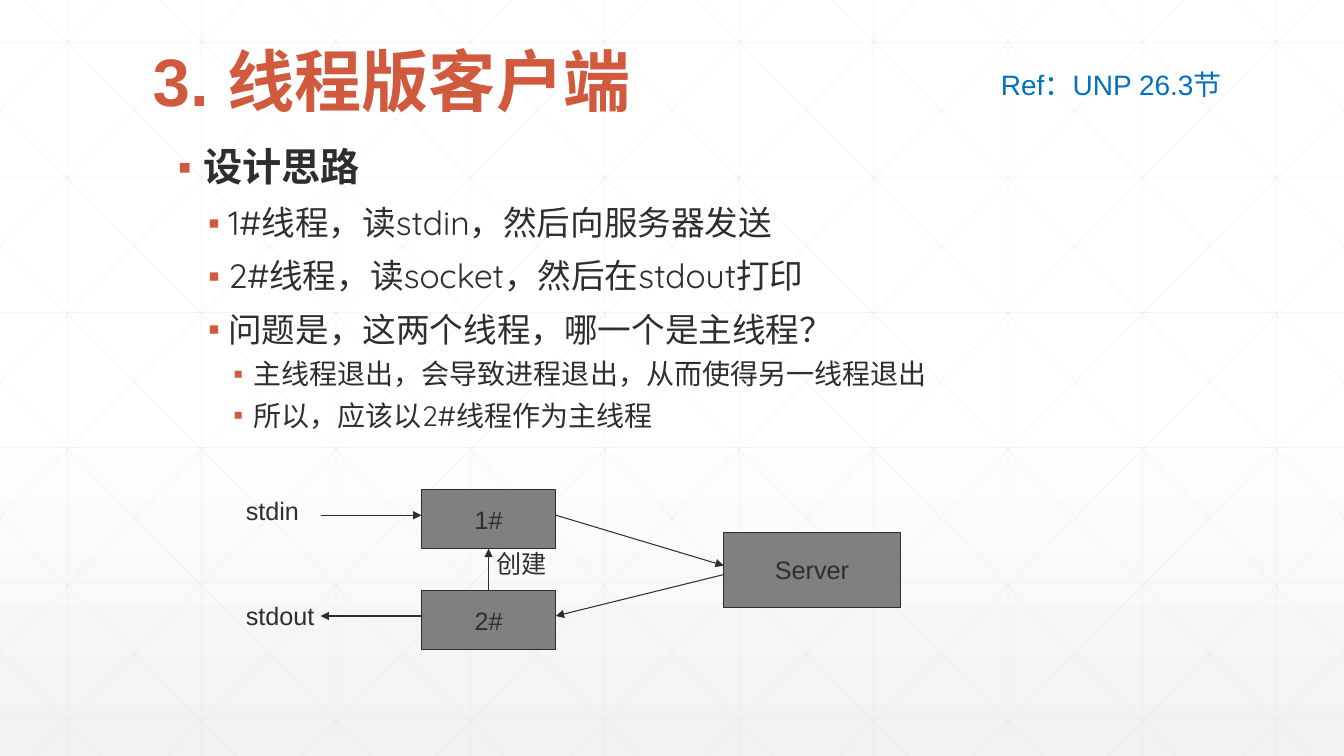
from dataclasses import dataclass

from lxml import etree
from pptx import Presentation
from pptx.dml.color import RGBColor
from pptx.enum import shapes, text
from pptx.oxml.ns import qn
from pptx.util import Pt

WHITE = RGBColor(0xFF, 0xFF, 0xFF)
PALE_GRAY = RGBColor(0xF2, 0xF2, 0xF2)
GRID_GRAY = RGBColor(0xD9, 0xD9, 0xD9)
BOX_GRAY = RGBColor(0x80, 0x80, 0x80)
INK = RGBColor(0x2D, 0x2E, 0x2D)
ORANGE = RGBColor(0xD1, 0x5A, 0x3E)
BLUE = RGBColor(0x00, 0x70, 0xC0)

WIDTH, HEIGHT = 960, 540
GRID_STEP = 96
DIAGONAL_RUN = 0.99  # horizontal distance per point of height


@dataclass
class Label:
    words: str
    left: float
    top: float
    width: float
    height: float
    size: float = 18
    color: RGBColor = INK
    bold: bool = False
    wrap: bool = False
    anchor: text.MSO_ANCHOR = text.MSO_ANCHOR.TOP


@dataclass
class Box:
    words: str
    left: float
    top: float
    width: float
    height: float


@dataclass
class Level:
    size: float
    indent: float
    hanging: float
    space_before: float
    bold: bool = False


@dataclass
class Line:
    x1: float
    y1: float
    x2: float
    y2: float


LEVELS = [
    Level(28, 18, 18, 18, True),
    Level(24, 36, 14.4, 12),
    Level(20, 54, 14.4, 8),
]
OUTLINE = [
    (0, "设计思路"),
    (1, "1#线程，读stdin，然后向服务器发送"),
    (1, "2#线程，读socket，然后在stdout打印"),
    (1, "问题是，这两个线程，哪一个是主线程？"),
    (2, "主线程退出，会导致进程退出，从而使得另一线程退出"),
    (2, "所以，应该以2#线程作为主线程"),
]
TITLE = Label("3. 线程版客户端", 102, 0, 756, 90, 48, ORANGE, True, True, text.MSO_ANCHOR.BOTTOM)
REFERENCE = Label("Ref：UNP 26.3节", 635.8, 44.6, 286.6, 31.5, 20, BLUE, wrap=True)
DIAGRAM_LABELS = [
    Label("stdin", 168.5, 350, 52.5, 29),
    Label("stdout", 168.5, 425, 63.5, 29),
    Label("创建", 347.5, 388, 50.5, 29),
]
SENDER = Box("1#", 301, 350, 96, 42)
RECEIVER = Box("2#", 301, 422, 96, 42)
SERVER = Box("Server", 517, 380, 126, 54)
ARROWS = [
    Line(229, 368, 301, 368),
    Line(397, 368, 517, 404),
    Line(517, 410.4, 397, 440),
    Line(301, 440, 229, 440),
]


def add_line(slide, line: Line, color: RGBColor, width: float):
    connector = slide.shapes.add_connector(
        shapes.MSO_CONNECTOR.STRAIGHT, Pt(line.x1), Pt(line.y1), Pt(line.x2), Pt(line.y2))
    connector.line.color.rgb = color
    connector.line.width = Pt(width)
    etree.SubElement(connector._element.spPr, qn("a:effectLst"))
    return connector


def add_arrow(slide, line: Line):
    connector = add_line(slide, line, INK, 0.75)
    etree.SubElement(connector.line._get_or_add_ln(), qn("a:tailEnd"), type="triangle")
    return connector


def add_grid_line(slide, line: Line) -> None:
    connector = add_line(slide, line, GRID_GRAY, 0.5)
    color = connector._element.spPr.find(".//" + qn("a:srgbClr"))
    etree.SubElement(color, qn("a:alpha"), val="25000")


def draw_grid(slide) -> None:
    for column in range(10):
        x = 48 + column * GRID_STEP
        add_grid_line(slide, Line(x, 0, x, HEIGHT))
    for row in range(6):
        y = 30.2 + row * 96.5
        add_grid_line(slide, Line(0, y, WIDTH, y))
    # Diagonals are cut at the slide edges and mirrored left to right
    for step in range(-5, 10):
        start = 18 + step * GRID_STEP
        top = max(0, -start / DIAGONAL_RUN)
        bottom = min(HEIGHT, (WIDTH - start) / DIAGONAL_RUN)
        x1, x2 = start + top * DIAGONAL_RUN, start + bottom * DIAGONAL_RUN
        add_grid_line(slide, Line(x1, top, x2, bottom))
        add_grid_line(slide, Line(WIDTH - x1, top, WIDTH - x2, bottom))


def style_font(paragraph, size: float, color: RGBColor, bold: bool = False, name: str = "Arial") -> None:
    font = paragraph.font
    font.name, font.size, font.bold = name, Pt(size), bold
    font.color.rgb = color


def add_label(slide, label: Label):
    shape = slide.shapes.add_textbox(Pt(label.left), Pt(label.top), Pt(label.width), Pt(label.height))
    frame = shape.text_frame
    frame.word_wrap = label.wrap
    frame.vertical_anchor = label.anchor
    paragraph = frame.paragraphs[0]
    paragraph.text = label.words
    style_font(paragraph, label.size, label.color, label.bold)
    return paragraph


def add_box(slide, box: Box):
    shape = slide.shapes.add_shape(
        shapes.MSO_SHAPE.RECTANGLE, Pt(box.left), Pt(box.top), Pt(box.width), Pt(box.height))
    shape.shadow.inherit = False
    shape.fill.solid()
    shape.fill.fore_color.rgb = BOX_GRAY
    shape.line.color.rgb = INK
    shape.line.width = Pt(0.75)
    frame = shape.text_frame
    frame.word_wrap = False
    frame.vertical_anchor = text.MSO_ANCHOR.MIDDLE
    paragraph = frame.paragraphs[0]
    paragraph.text = box.words
    paragraph.alignment = text.PP_ALIGN.CENTER
    style_font(paragraph, 18, INK)
    return shape


def add_outline(slide) -> None:
    frame = slide.shapes.add_textbox(Pt(120), Pt(102), Pt(624), Pt(222)).text_frame
    frame.word_wrap = True
    for index, (depth, words) in enumerate(OUTLINE):
        level = LEVELS[depth]
        paragraph = frame.add_paragraph() if index else frame.paragraphs[0]
        paragraph.text = words
        paragraph.level = depth
        properties = paragraph._p.get_or_add_pPr()
        properties.set("marL", str(Pt(level.indent)))
        properties.set("indent", str(-Pt(level.hanging)))
        bullet_color = etree.SubElement(properties, qn("a:buClr"))
        etree.SubElement(bullet_color, qn("a:srgbClr"), val=str(ORANGE))
        etree.SubElement(properties, qn("a:buFont"), typeface="Arial")
        etree.SubElement(properties, qn("a:buChar"), char="▪")
        paragraph.alignment = text.PP_ALIGN.JUSTIFY
        paragraph.line_spacing = 0.9
        if index:
            paragraph.space_before = Pt(level.space_before)
        style_font(paragraph, level.size, INK, level.bold, "Quicksand")


def main() -> None:
    presentation = Presentation()
    presentation.slide_width, presentation.slide_height = Pt(WIDTH), Pt(HEIGHT)
    slide = presentation.slides.add_slide(presentation.slide_layouts[6])

    # Background
    fill = slide.background.fill
    fill.gradient()
    fill.gradient_angle = 270
    for stop, position, color in zip(fill.gradient_stops, (0.53, 1), (WHITE, PALE_GRAY)):
        stop.position, stop.color.rgb = position, color
    draw_grid(slide)

    # Title, reference and outline
    add_label(slide, TITLE).line_spacing = 0.9
    reference = add_label(slide, REFERENCE)
    reference._p.get_or_add_pPr().set("marL", str(Pt(72)))
    add_outline(slide)

    # Thread diagram
    sender, receiver, _ = [add_box(slide, box) for box in (SENDER, RECEIVER, SERVER)]
    for arrow in ARROWS:
        add_arrow(slide, arrow)
    creation = add_arrow(slide, Line(349, 422, 349, 392))
    creation.begin_connect(receiver, 0)
    creation.end_connect(sender, 2)
    for label in DIAGRAM_LABELS:
        add_label(slide, label)

    presentation.save("out.pptx")


if __name__ == "__main__":
    main()
